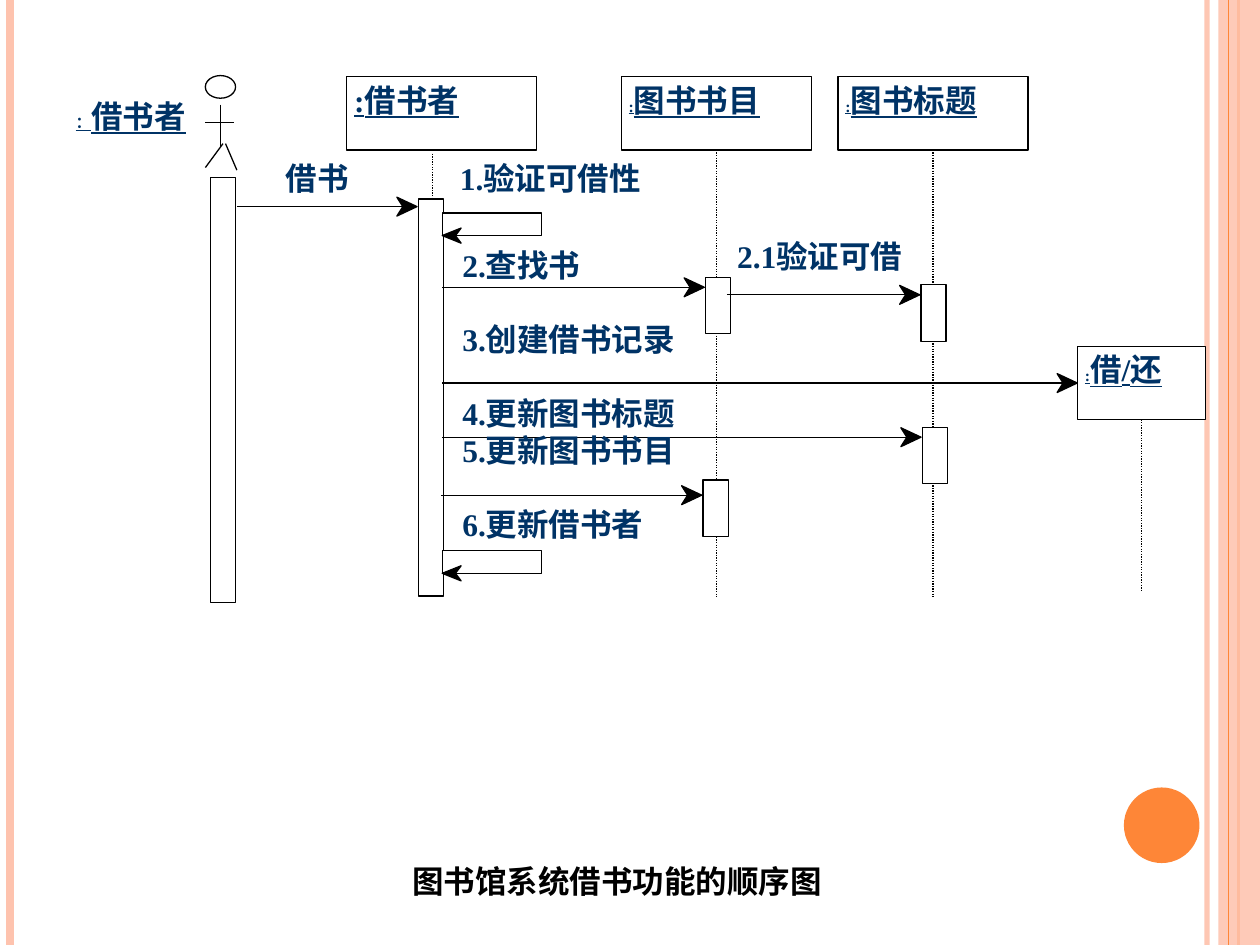
from typing import NamedTuple

from lxml import etree
from pptx import Presentation
from pptx.dml.color import RGBColor
from pptx.enum.dml import MSO_LINE
from pptx.enum.shapes import MSO_CONNECTOR, MSO_SHAPE
from pptx.enum.text import MSO_ANCHOR, PP_ALIGN
from pptx.oxml.ns import qn
from pptx.util import Inches, Pt

RECT, OVAL = MSO_SHAPE.RECTANGLE, MSO_SHAPE.OVAL
STRAIGHT = MSO_CONNECTOR.STRAIGHT
DOTTED = MSO_LINE.ROUND_DOT
JUSTIFY, CENTER = PP_ALIGN.JUSTIFY, PP_ALIGN.CENTER
BOTTOM, LEFT = 2, 1

BLACK, WHITE, NAVY = "000000", "FFFFFF", "003366"
PEACH, ORANGE = "FEC3AE", "FE8637"
FONT = "Times New Roman"
BAR_W, BAR_H = 0.2, 0.45
LOOP_W, LOOP_H = 0.79, 0.18
BLANK_LINE = 20.7  # points, one empty 18 pt line


class Header(NamedTuple):
    name: str
    x: float
    y: float
    w: float
    colon_size: float
    life_end: float


class Message(NamedTuple):
    x1: float
    x2: float
    y: float


class Label(NamedTuple):
    text: str
    x: float
    y: float
    w: float


HEADERS = [
    Header("借书者", 2.75, 0.61, 1.51, 18, 0),
    Header("图书书目", 4.93, 0.61, 1.51, 9, 4.74),
    Header("图书标题", 6.65, 0.61, 1.51, 9, 4.74),
    Header("借/还", 8.55, 2.75, 1.02, 9, 4.7),
]
MESSAGES = [
    Message(1.88, 3.31, 1.64),
    Message(3.51, 5.59, 2.28),
    Message(5.77, 7.3, 2.34),
    Message(3.51, 7.31, 3.47),
    Message(3.5, 5.57, 3.93),
]
LABELS = [
    Label("借书", 2.26, 1.25, 0.63),
    Label("1.验证可借性", 3.64, 1.25, 1.84),
    Label("2.1验证可借", 5.84, 1.87, 2.07),
]
STEPS = [
    ("2.查找书", 0),
    ("3.创建借书记录", BLANK_LINE),
    ("4.更新图书标题", BLANK_LINE),
    ("5.更新图书书目", 0),
    ("6.更新借书者", BLANK_LINE),
]
BARS = [(5.6, 2.2), (7.31, 2.26), (7.32, 3.39), (5.58, 3.81)]
SELF_CALLS = [1.69, 4.37]

prs = Presentation()
prs.slide_width, prs.slide_height = Inches(10), Inches(7.5)
s = prs.slides.add_slide(prs.slide_layouts[6])


def paint(color_format, color: str) -> None:
    color_format.rgb = RGBColor.from_string(color)


def set_alpha(sp, percent: int) -> None:
    clr = next(sp._element.spPr.iter(qn("a:srgbClr")))
    etree.SubElement(clr, qn("a:alpha"), val=str(percent * 1000))


def style(sp, fill: str, line: str | None) -> None:
    sp.shadow.inherit = False
    sp.fill.solid()
    paint(sp.fill.fore_color, fill)
    if line:
        paint(sp.line.color, line)
        sp.line.width = Pt(0.75)
    else:
        sp.line.fill.background()


def add_box(x: float, y: float, w: float, h: float, kind=RECT,
            fill: str = WHITE, line: str | None = BLACK):
    sp = s.shapes.add_shape(kind, Inches(x), Inches(y), Inches(w), Inches(h))
    style(sp, fill, line)
    return sp


def add_line(x1: float, y1: float, x2: float, y2: float,
             color: str = BLACK, width: float = 0.75, dash=None):
    cx = s.shapes.add_connector(STRAIGHT, Inches(x1), Inches(y1), Inches(x2), Inches(y2))
    paint(cx.line.color, color)
    cx.line.width = Pt(width)
    if dash:
        cx.line.dash_style = dash
    etree.SubElement(cx._element.spPr, qn("a:effectLst"))
    return cx


def add_head(x: float, y: float, length: float = 0.16, half: float = 0.075) -> None:
    """Notched arrowhead with its tip at x, y; a negative length points left."""
    back = x - length
    notch = back + length * 0.3
    fb = s.shapes.build_freeform(Inches(notch), Inches(y))
    fb.add_line_segments([(Inches(px), Inches(py)) for px, py in
                          [(back, y - half), (x, y), (back, y + half)]])
    style(fb.convert_to_shape(), BLACK, BLACK)


def setup_frame(sp, dx: float, dy: float):
    tf = sp.text_frame
    tf.word_wrap = True
    tf.vertical_anchor = MSO_ANCHOR.TOP
    tf.margin_left = tf.margin_right = Inches(dx)
    tf.margin_top = tf.margin_bottom = Inches(dy)
    return tf


def add_run(p, text: str, size: float = 18, color: str = NAVY,
            underline: bool = False, align=JUSTIFY) -> None:
    p.alignment = align
    r = p.add_run()
    r.text = text
    r.font.name, r.font.size, r.font.bold = FONT, Pt(size), True
    if underline:
        r.font.underline = True
    paint(r.font.color, color)


def add_text_box(x: float, y: float, w: float, h: float, inset: float = 0.01):
    return setup_frame(s.shapes.add_textbox(Inches(x), Inches(y), Inches(w), Inches(h)),
                       inset, inset)


# Page decoration
set_alpha(add_line(9.58, 0, 9.58, 7.5, PEACH, 3), 92)
add_line(0.08, 0, 0.08, 7.5, PEACH, 4.5)
add_line(9.83, 0, 9.83, 7.5, ORANGE, 1.5)
set_alpha(add_box(9.67, 0, 0.33, 7.5, fill=PEACH, line=None), 87)
add_line(9.75, 0, 9.75, 7.5, ORANGE)
add_box(8.92, 6.25, 0.6, 0.6, OVAL, ORANGE, None)

# Object headers and their lifelines
add_line(3.43, 1.22, 3.43, 2.87, dash=DOTTED)
for hd in HEADERS:
    header = add_box(hd.x, hd.y, hd.w, 0.58)
    p = setup_frame(header, 0.06, 0.03).paragraphs[0]
    add_run(p, ":", size=hd.colon_size, underline=True)
    add_run(p, hd.name, underline=True)
    if hd.life_end:
        mid = hd.x + hd.w / 2
        add_line(mid, hd.y + 0.58, mid, hd.life_end, dash=DOTTED).begin_connect(header, BOTTOM)

# Actor
add_box(1.63, 0.6, 0.24, 0.18, OVAL)
for limb in [(1.63, 0.97, 1.86, 0.97), (1.75, 0.83, 1.75, 1.16),
             (1.77, 1.14, 1.63, 1.33), (1.79, 1.14, 1.88, 1.35)]:
    add_line(*limb)
p = add_text_box(0.59, 0.76, 1.04, 0.52).paragraphs[0]
add_run(p, "：", size=9, underline=True)
add_run(p, "借书者", underline=True)

# Activation bars
add_box(1.67, 1.41, BAR_W, 3.37)
add_box(3.32, 1.58, BAR_W, 3.15)
for x, y in BARS:
    add_box(x, y, BAR_W, BAR_H)

# Messages; the record message runs into the last header
for m in MESSAGES:
    add_line(m.x1, m.y, m.x2 - 0.05, m.y)
    add_head(m.x2, m.y)
add_line(3.51, 3.04, 8.55, 3.04).end_connect(header, LEFT)
add_head(8.55, 3.04)
for y in SELF_CALLS:
    add_box(3.51, y, LOOP_W, LOOP_H)
    add_head(3.51, y + LOOP_H, -0.15, 0.06)

# Message labels
for lb in LABELS:
    add_run(add_text_box(lb.x, lb.y, lb.w, 0.45).paragraphs[0], lb.text)
tf = add_text_box(3.66, 1.94, 2.13, 2.57)
for i, (text, gap) in enumerate(STEPS):
    p = tf.add_paragraph() if i else tf.paragraphs[0]
    p.space_before = Pt(gap)
    add_run(p, text)

# Caption
tf = add_text_box(1.97, 6.81, 5.85, 0.4, inset=0.03)
add_run(tf.paragraphs[0], "图书馆系统借书功能的顺序图", color=BLACK, align=CENTER)

prs.save("out.pptx")
